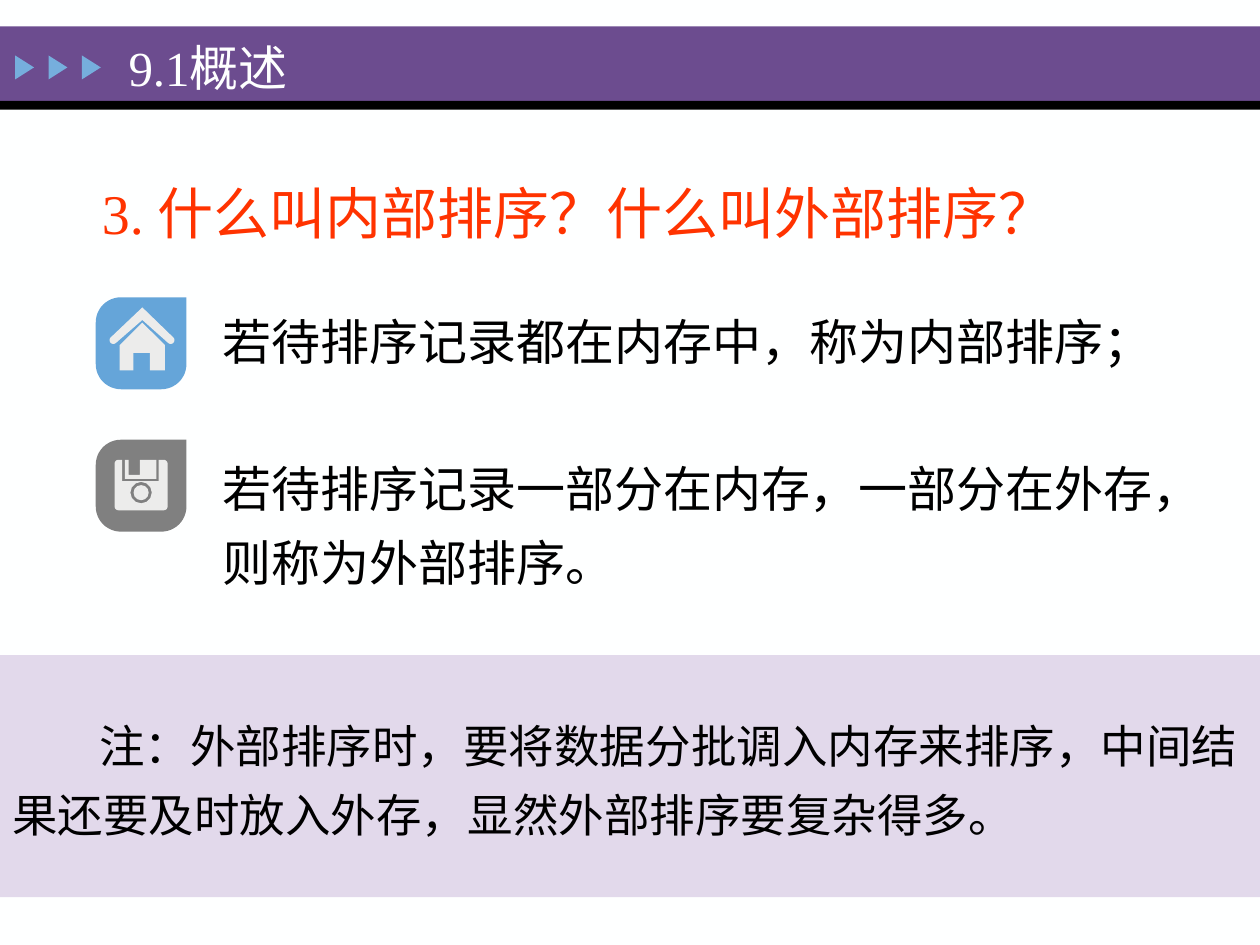
"""Build the slide that defines internal and external sorting."""
from math import cos, radians, sin

from pptx import Presentation
from pptx.dml.color import RGBColor as RGB
from pptx.enum.shapes import MSO_SHAPE as SHAPE
from pptx.enum.text import MSO_ANCHOR as ANCHOR, PP_ALIGN as ALIGN
from pptx.util import Inches, Pt

INK = {"paper": "FEFFFF", "purple": "6C4C8F", "black": "000000",
       "arrow": "76AEDD", "red": "FF3300", "lilac": "E2D9EB",
       "blue": "65A5D9", "grey": "808080", "icon": "ECECEB"}


def paint(shape, color):
    shape.shadow.inherit = False
    shape.fill.solid()
    shape.fill.fore_color.rgb = RGB.from_string(INK[color])
    shape.line.fill.background()
    return shape


def arc(x, y, r, start, end):
    angles = [start + (end - start) * i / 12 for i in range(13)]
    return [(x + r * cos(radians(a)), y + r * sin(radians(a))) for a in angles]


prs = Presentation()
prs.slide_width, prs.slide_height = Inches(10), Inches(7.5)
slide = prs.slides.add_slide(prs.slide_layouts[5])
slide.background.fill.solid()
slide.background.fill.fore_color.rgb = RGB.from_string(INK["paper"])
shapes = slide.shapes

bars = [(0.21, 0.59, "purple"), (0.8, 0.07, "black"), (5.2, 1.92, "lilac")]
for top, height, color in bars:
    note = paint(shapes.add_shape(SHAPE.RECTANGLE, 0, Inches(top), Inches(10),
                                  Inches(height)), color)

for i in range(3):
    arrow = paint(shapes.add_shape(SHAPE.ISOSCELES_TRIANGLE,
                                   Inches(0.1 + 0.265 * i), Inches(0.46),
                                   Inches(0.19), Inches(0.15)), "arrow")
    arrow.rotation = 90

badges = []
for top, color in [(2.36, "blue"), (3.49, "grey")]:
    low = top + 0.73
    edge = ([(1.48, top)] + arc(1.28, low - 0.2, 0.2, 0, 90)
            + arc(0.96, low - 0.2, 0.2, 90, 180)
            + arc(0.96, top + 0.2, 0.2, 180, 270))
    badges.append(([edge], color))

roof = ([(1.13, 2.44)] + arc(1.355, 2.7, 0.03, -45, 130)
        + [(1.13, 2.54)] + arc(0.9, 2.7, 0.03, 50, 225))
walls = [(0.95, 2.74), (0.95, 2.94), (1.06, 2.94), (1.06, 2.8), (1.19, 2.8),
         (1.19, 2.94), (1.31, 2.94), (1.31, 2.74), (1.13, 2.56)]
label = [(1.24, 3.65), (1.11, 3.65), (1.11, 3.77), (1.02, 3.77),
         (1.02, 3.65), (0.99, 3.65), (0.99, 3.8), (1.24, 3.8)]
disk = ([(1.26, 3.65), (1.26, 3.82), (0.97, 3.82), (0.97, 3.65)]
        + arc(0.94, 3.68, 0.03, 270, 180) + arc(0.94, 4.02, 0.03, 180, 90)
        + arc(1.3, 4.02, 0.03, 90, 0) + arc(1.3, 3.68, 0.03, 0, -90))
hole = arc(1.12, 3.91, 0.085, 0, 360)

icons = [([roof], "icon"), ([walls], "icon"), ([label], "icon"),
         ([disk, hole], "icon")]
for paths, color in badges + icons:
    first, *rest = [[(Inches(x), Inches(y)) for x, y in path] for path in paths]
    pen = shapes.build_freeform(*first[0])
    pen.add_line_segments(first[1:])
    for path in rest:
        pen.move_to(*path[0])
        pen.add_line_segments(path[1:])
    paint(pen.convert_to_shape(), color)
paint(shapes.add_shape(SHAPE.OVAL, Inches(1.06), Inches(3.85), Inches(0.12),
                       Inches(0.12)), "icon")

title = shapes.title
title.left, title.top = Inches(0.92), Inches(0.25)
title.width, title.height = Inches(7), Inches(0.5)
shapes._spTree.append(title._element)
head = shapes.add_textbox(Inches(0.71), Inches(1.32), Inches(8.5), Inches(0.72))
body = shapes.add_textbox(Inches(1.67), Inches(2.31), Inches(7.85), Inches(2.46))

texts = [
    (title, ANCHOR.TOP, 28, "paper", 1, ["9.1概述"]),
    (head, ANCHOR.MIDDLE, 32, "red", 1, ["3. 什么叫内部排序？什么叫外部排序？"]),
    (body, ANCHOR.TOP, 28, "black", 1.25,
     ["若待排序记录都在内存中，称为内部排序；",
      "若待排序记录一部分在内存，一部分在外存，则称为外部排序。"]),
    (note, ANCHOR.MIDDLE, 26, "black", 1.25,
     ["注：外部排序时，要将数据分批调入内存来排序，中间结果还要及时放入外存，"
      "显然外部排序要复杂得多。"]),
]
for box, anchor, size, color, pitch, lines in texts:
    frame = box.text_frame
    frame.word_wrap = True
    frame.vertical_anchor = anchor
    for i, line in enumerate(lines):
        para = frame.add_paragraph() if i else frame.paragraphs[0]
        para.alignment = ALIGN.LEFT
        para.line_spacing = pitch
        para.space_before = Pt(42 * i)
        run = para.add_run()
        run.text = line
        run.font.name = "Times New Roman"
        run.font.size = Pt(size)
        run.font.color.rgb = RGB.from_string(INK[color])
note.text_frame.margin_bottom = Inches(0.1)
props = note.text_frame.paragraphs[0]._p.get_or_add_pPr()
props.set("indent", str(Inches(0.69)))

prs.save("out.pptx")
